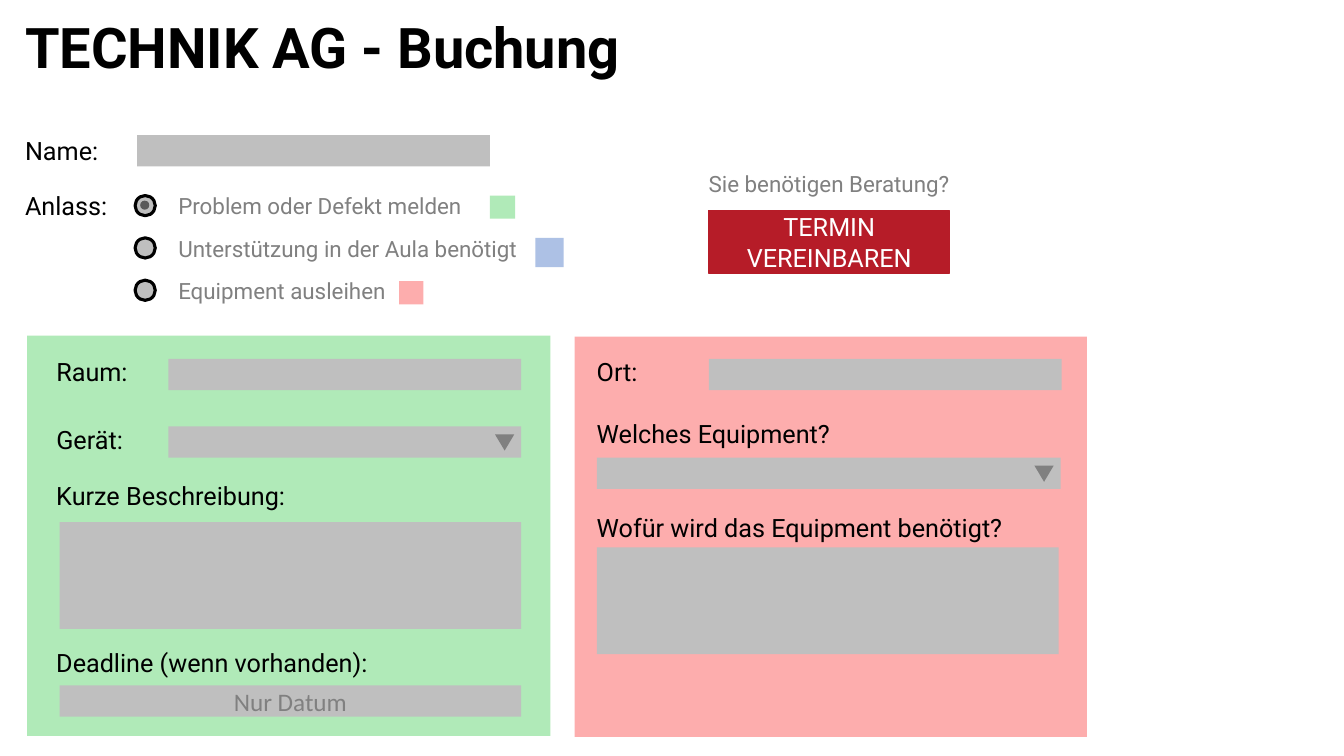
from pptx import Presentation
from pptx.dml.color import RGBColor
from pptx.enum import shapes, text
from pptx.util import Inches, Pt

BLACK, GRAY, FIELD, DOT = "000000", "808080", "BFBFBF", "595959"
GREEN, BLUE, PINK, RED, WHITE = "B0EAB8", "ADC1E5", "FDADAD", "B61C28", "FFFFFF"
SHAPE = shapes.MSO_SHAPE
FIELD_W, FIELD_H = 3.5, 0.31
AREA_W, AREA_H = 4.58, 1.06


def rgb(value):
    return RGBColor.from_string(value)


def add_run(p, words, size, color, font="Roboto", bold=False):
    r = p.add_run()
    r.text = words
    r.font.size = Pt(size)
    r.font.name = font
    r.font.bold = bold
    r.font.color.rgb = rgb(color)


def add_label(s, words, x, y, w, h=0.4, size=18, color=BLACK, bold=False):
    tf = s.shapes.add_textbox(Inches(x), Inches(y), Inches(w), Inches(h)).text_frame
    tf.word_wrap = True
    tf.auto_size = text.MSO_AUTO_SIZE.SHAPE_TO_FIT_TEXT
    add_run(tf.paragraphs[0], words, size, color, bold=bold)


def add_hint(s, words, x, y, w):
    add_label(s, words, x, y, w, h=0.37, size=16, color=GRAY)


def add_block(s, x, y, w, h, fill, kind=SHAPE.RECTANGLE, line=None, line_width=1):
    sp = s.shapes.add_shape(kind, Inches(x), Inches(y), Inches(w), Inches(h))
    sp.shadow.inherit = False
    sp.fill.solid()
    sp.fill.fore_color.rgb = rgb(fill)
    if line:
        sp.line.color.rgb = rgb(line)
        sp.line.width = Pt(line_width)
    else:
        sp.line.fill.background()
    return sp


def add_caption(sp, words, color, font):
    """Centre a caption inside a shape."""
    tf = sp.text_frame
    tf.word_wrap = True
    tf.vertical_anchor = text.MSO_ANCHOR.MIDDLE
    p = tf.paragraphs[0]
    p.alignment = text.PP_ALIGN.CENTER
    add_run(p, words, 18, color, font)


def add_field(s, x, y, w=FIELD_W):
    return add_block(s, x, y, w, FIELD_H, FIELD)


def add_dropdown(s, x, y, w=FIELD_W):
    add_field(s, x, y, w)
    arrow = add_block(s, x + w - 0.26, y + 0.08, 0.19, 0.16, GRAY,
                      SHAPE.ISOSCELES_TRIANGLE)
    arrow.rotation = 180


def add_option(s, words, y, w, swatch, selected=False):
    """Radio button, its wording and the colour of the form it opens."""
    add_block(s, 1.34, y + 0.08, 0.2, 0.2, FIELD, SHAPE.OVAL, BLACK, 2.25)
    if selected:
        add_block(s, 1.39, y + 0.13, 0.09, 0.09, DOT, SHAPE.OVAL)
    add_hint(s, words, 1.67, y, w)
    add_block(s, *swatch)


def add_header(s):
    add_label(s, "TECHNIK AG - Buchung", 0.15, 0.08, 6.82, 0.77, 40, bold=True)
    add_label(s, "Name:", 0.15, 1.29, 1.11)
    add_field(s, 1.36, 1.34)
    add_label(s, "Anlass:", 0.15, 1.84, 1.06)
    options = [
        ("Problem oder Defekt melden", 3.31, (4.86, 1.94, 0.25, 0.23, GREEN)),
        ("Unterstützung in der Aula benötigt", 3.8, (5.31, 2.36, 0.28, 0.29, BLUE)),
        ("Equipment ausleihen", 4.6, (3.96, 2.79, 0.24, 0.23, PINK)),
    ]
    for i, (words, w, swatch) in enumerate(options):
        add_option(s, words, 1.86 + 0.42 * i, w, swatch, selected=i == 0)
    add_hint(s, "Sie benötigen Beratung?", 6.93, 1.64, 2.73)
    button = add_block(s, 7.03, 2.09, 2.39, 0.62, RED, line=RED)
    add_caption(button, "TERMIN VEREINBAREN", WHITE, "Roboto")


def add_defect_form(s):
    add_block(s, 0.27, 3.33, 5.19, 3.97, GREEN)
    add_label(s, "Raum:", 0.46, 3.49, 1.11)
    add_field(s, 1.67, 3.56)
    add_label(s, "Gerät:", 0.46, 4.16, 1.11)
    add_dropdown(s, 1.67, 4.23)
    add_label(s, "Kurze Beschreibung:", 0.46, 4.72, 2.54)
    add_block(s, 0.59, 5.18, AREA_W, AREA_H, FIELD)
    add_label(s, "Deadline (wenn vorhanden):", 0.46, 6.37, 4.06)
    add_caption(add_field(s, 0.59, 6.8, AREA_W), "Nur Datum", GRAY, "Calibri")


def add_equipment_form(s):
    add_block(s, 5.7, 3.34, 5.08, 3.97, PINK)
    add_label(s, "Ort:", 5.82, 3.49, 1.11)
    add_field(s, 7.03, 3.56)
    add_label(s, "Welches Equipment?", 5.82, 4.1, 2.88)
    add_dropdown(s, 5.92, 4.54, 4.6)
    add_label(s, "Wofür wird das Equipment benötigt?", 5.82, 5.03, 4.43)
    add_block(s, 5.92, 5.43, AREA_W, AREA_H, FIELD)


def main():
    prs = Presentation()
    prs.slide_width, prs.slide_height = Inches(13.33), Inches(7.5)
    s = prs.slides.add_slide(prs.slide_layouts[6])
    add_header(s)
    add_defect_form(s)
    add_equipment_form(s)
    prs.save("out.pptx")


if __name__ == "__main__":
    main()
